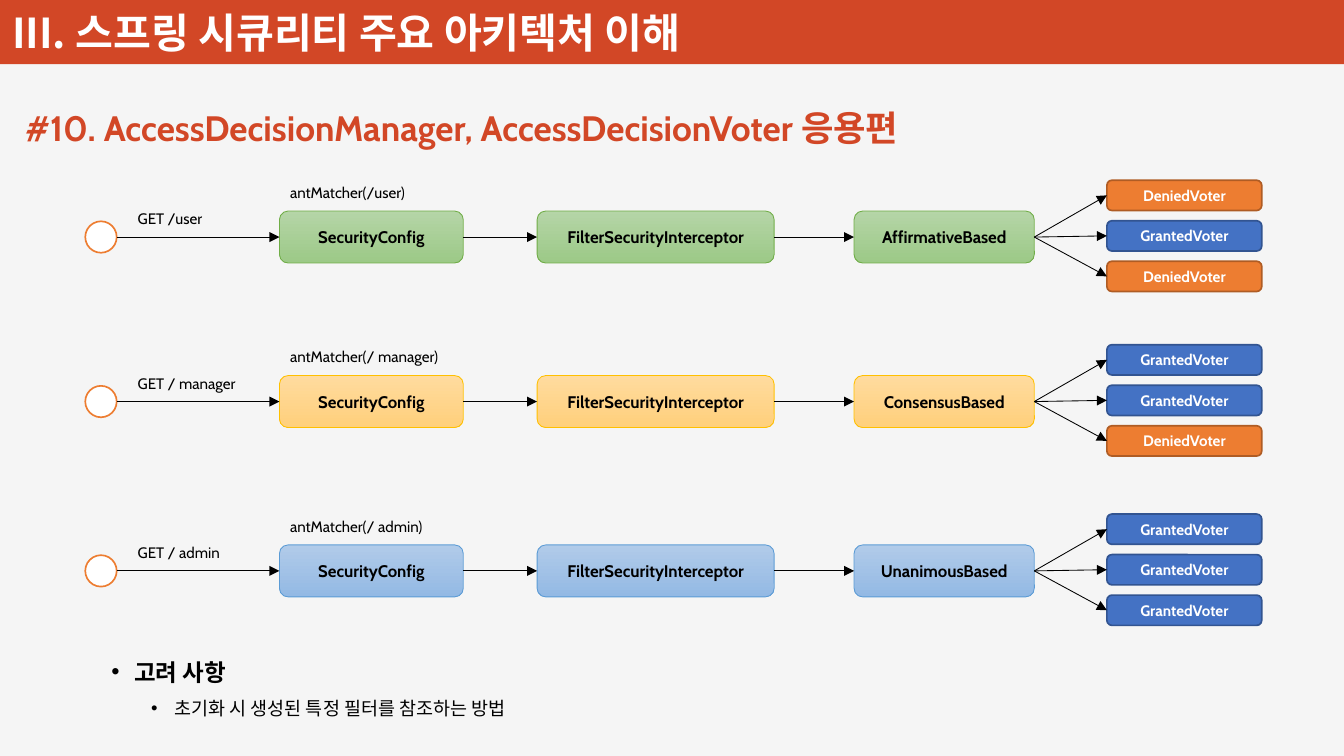
"""Build a slide on access decision managers and their voters."""
from dataclasses import dataclass

from lxml import etree
from pptx import Presentation, util as u
from pptx.dml.color import RGBColor
from pptx.enum import shapes, text
from pptx.oxml.ns import qn

TITLE = "III. 스프링 시큐리티 주요 아키텍처 이해"
HEADING = "#10. AccessDecisionManager, AccessDecisionVoter 응용편"
NOTES = ["고려 사항", "초기화 시 생성된 특정 필터를 참조하는 방법"]
FLOWS = [
    {"request": "GET /user", "matcher": "antMatcher(/user)", "manager": "AffirmativeBased",
     "tone": "green", "votes": ["Denied", "Granted", "Denied"]},
    {"request": "GET / manager", "matcher": "antMatcher(/ manager)", "manager": "ConsensusBased",
     "tone": "yellow", "votes": ["Granted", "Granted", "Denied"]},
    {"request": "GET / admin", "matcher": "antMatcher(/ admin)", "manager": "UnanimousBased",
     "tone": "blue", "votes": ["Granted", "Granted", "Granted"]},
]


@dataclass(frozen=True)
class Theme:
    """Colours, fonts and type sizes."""
    latin: str = "Cabin"
    korean: str = "Noto Sans CJK KR"
    accent: str = "D24726"
    paper: str = "F5F5F5"
    ink: str = "000000"
    white: str = "FFFFFF"
    ring: str = "ED7D31"
    title: float = 24.5
    heading: float = 21
    note: float = 14
    detail: float = 11
    step: float = 10
    label: float = 9


THEME = Theme()
TONES = {
    "green": (["B5D5A7", "9CC987"], "70AD47"),
    "yellow": (["FFDB9E", "FFD07C"], "FFC000"),
    "blue": (["B1CBE9", "93B9E4"], "5B9BD5"),
    "Denied": (["ED7D31"], "AF5C24"),
    "Granted": (["4472C4"], "325491"),
}

CELL = u.Inches(0.1)
COLUMNS, ROWS = 111.1, 62.5
FLOW_ROWS = [19.6, 33.2, 47.2]
STEP_COLUMNS = [(23.1, 15.2), (44.4, 19.6), (70.6, 14.9)]
STEP_HEIGHT = 4.3
VOTER_COLUMN, VOTER_WIDTH, VOTER_HEIGHT, VOTER_PITCH = 91.5, 12.8, 2.5, 3.35
RING_COLUMN, RING_SIZE = 7.05, 2.6
REQUEST_COLUMN, MATCHER_COLUMN = 10.4, 23
LABEL_WIDTH, LABEL_HEIGHT = 15.3, 2.5

presentation = Presentation()
presentation.slide_width, presentation.slide_height = int(COLUMNS * CELL), int(ROWS * CELL)
slide = presentation.slides.add_slide(presentation.slide_layouts[1])
slide.background.fill.solid()
slide.background.fill.fore_color.rgb = RGBColor.from_string(THEME.paper)


def grid(*cells):
    return [int(cell * CELL) for cell in cells]


def apply(target, values):
    for name, value in values.items():
        setattr(target, name, value)


def place(shape, *cells):
    apply(shape, dict(zip(("left", "top", "width", "height"), grid(*cells))))


def write(paragraph, words, size, color, bold=False, latin=THEME.latin):
    run = paragraph.add_run()
    run.text = words
    apply(run.font, {"size": u.Pt(size), "bold": bold, "name": latin})
    run.font.color.rgb = RGBColor.from_string(color)
    properties = run.font._element
    etree.SubElement(properties, qn("a:ea")).set("typeface", THEME.korean)


def add_label(words, left, top, width, height, size=THEME.label, color=THEME.ink, bold=False, wrap=True):
    box = slide.shapes.add_textbox(*grid(left, top, width, height))
    box.text_frame.word_wrap = wrap
    write(box.text_frame.paragraphs[0], words, size, color, bold)


def add_shape(kind, cells, fills, line=None, weight=1):
    shape = slide.shapes.add_shape(kind, *grid(*cells))
    shape.shadow.inherit = False
    if len(fills) > 1:
        shape.fill.gradient()
        shape.fill.gradient_angle = 270
        for stop, color in zip(shape.fill.gradient_stops, fills):
            stop.color.rgb = RGBColor.from_string(color)
    else:
        shape.fill.solid()
        shape.fill.fore_color.rgb = RGBColor.from_string(fills[0])
    if line:
        shape.line.color.rgb = RGBColor.from_string(line)
        shape.line.width = u.Pt(weight)
    else:
        shape.line.fill.background()
    return shape


def add_box(words, left, middle, width, height, tone, size, color, weight):
    fills, line = TONES[tone]
    cells = (left, middle - height / 2, width, height)
    box = add_shape(shapes.MSO_SHAPE.ROUNDED_RECTANGLE, cells, fills, line, weight)
    apply(box.text_frame, {"vertical_anchor": text.MSO_ANCHOR.MIDDLE, "word_wrap": True})
    paragraph = box.text_frame.paragraphs[0]
    paragraph.alignment = text.PP_ALIGN.CENTER
    write(paragraph, words, size, color, bold=True)
    return box


def add_arrow(start, end):
    arrow = slide.shapes.add_connector(
        shapes.MSO_CONNECTOR.STRAIGHT, start.left + start.width, start.top + start.height // 2,
        end.left, end.top + end.height // 2)
    if start.auto_shape_type == shapes.MSO_SHAPE.ROUNDED_RECTANGLE:
        arrow.begin_connect(start, 3)
    arrow.end_connect(end, 1)
    arrow.line.color.rgb = RGBColor.from_string(THEME.ink)
    arrow.line.width = u.Pt(0.5)
    etree.SubElement(arrow.line._get_or_add_ln(), qn("a:tailEnd")).set("type", "triangle")
    etree.SubElement(arrow._element.spPr, qn("a:effectLst"))


def add_title():
    title = slide.shapes.title
    band = add_shape(shapes.MSO_SHAPE.RECTANGLE, (0, 0, COLUMNS, 5.3), [THEME.accent])
    title._element.addprevious(band._element)
    place(title, 0.1, -1, 67.2, 6.1)
    apply(title.text_frame, {
        "vertical_anchor": text.MSO_ANCHOR.BOTTOM, "auto_size": text.MSO_AUTO_SIZE.NONE,
        "margin_left": u.Inches(0.09), "margin_right": u.Inches(0.09),
        "margin_top": u.Inches(0.04), "margin_bottom": u.Inches(0.04)})
    paragraph = title.text_frame.paragraphs[0]
    paragraph.alignment = text.PP_ALIGN.LEFT
    write(paragraph, TITLE, THEME.title, THEME.white, True, THEME.korean)


def add_notes():
    body = slide.placeholders[1]
    place(body, 8.2, 52.7, 44.3, 7)
    frame = body.text_frame
    frame.auto_size = text.MSO_AUTO_SIZE.NONE
    for level, words in enumerate(NOTES):
        paragraph = frame.add_paragraph() if level else frame.paragraphs[0]
        apply(paragraph, {"level": level, "line_spacing": 1.5, "space_before": u.Pt(0)})
        properties = paragraph._p.get_or_add_pPr()
        properties.set("marL", str(u.Inches((0.19, 0.52)[level])))
        properties.set("indent", str(u.Inches(-0.19)))
        etree.SubElement(properties, qn("a:buFont")).set("typeface", "Arial")
        etree.SubElement(properties, qn("a:buChar")).set("char", "•")
        write(paragraph, words, (THEME.note, THEME.detail)[level], THEME.ink, level == 0, THEME.korean)


def add_flow(flow, middle):
    ring_cells = (RING_COLUMN, middle - RING_SIZE / 2, RING_SIZE, RING_SIZE)
    previous = add_shape(shapes.MSO_SHAPE.OVAL, ring_cells, [THEME.white], THEME.ring)
    add_label(flow["request"], REQUEST_COLUMN, middle - 2.75, LABEL_WIDTH, LABEL_HEIGHT)
    add_label(flow["matcher"], MATCHER_COLUMN, middle - 4.95, LABEL_WIDTH, LABEL_HEIGHT)
    steps = ["SecurityConfig", "FilterSecurityInterceptor", flow["manager"]]
    for words, (left, width) in zip(steps, STEP_COLUMNS):
        box = add_box(words, left, middle, width, STEP_HEIGHT, flow["tone"], THEME.step, THEME.ink, 0.5)
        add_arrow(previous, box)
        previous = box
    for index, vote in enumerate(flow["votes"]):
        voter_middle = middle - 0.1 + (index - 1) * VOTER_PITCH
        voter = add_box(f"{vote}Voter", VOTER_COLUMN, voter_middle, VOTER_WIDTH, VOTER_HEIGHT,
                        vote, THEME.label, THEME.white, 1)
        add_arrow(previous, voter)


add_title()
add_label(HEADING, 1.1, 8.3, 81.4, 4.5, THEME.heading, THEME.accent, bold=True, wrap=False)
for flow, middle in zip(FLOWS, FLOW_ROWS):
    add_flow(flow, middle)
add_notes()
presentation.save("out.pptx")
